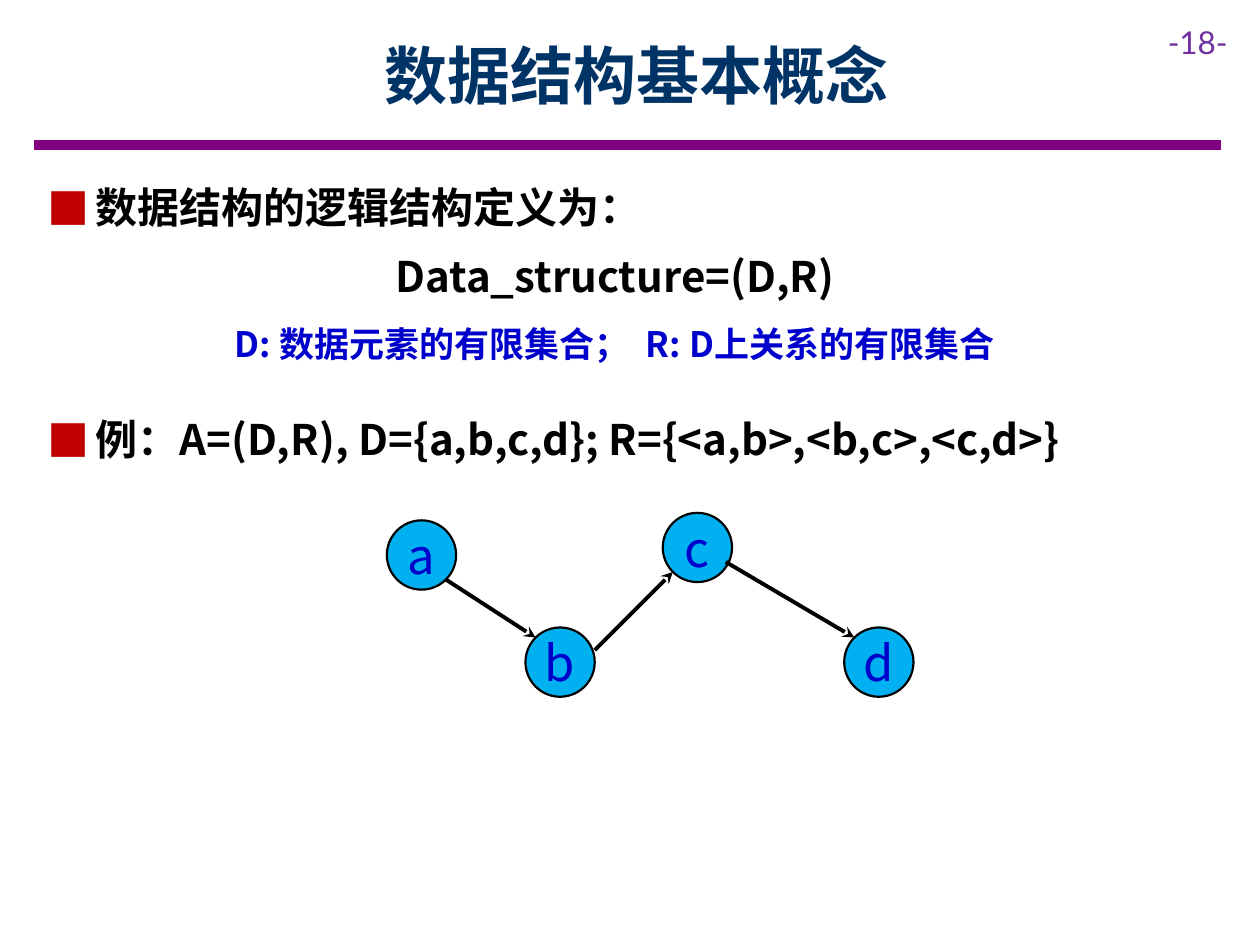
from lxml import etree
from pptx import Presentation
from pptx.dml.color import RGBColor
from pptx.enum.shapes import MSO_CONNECTOR, MSO_SHAPE
from pptx.enum.text import MSO_ANCHOR, PP_ALIGN
from pptx.oxml.ns import qn
from pptx.util import Inches, Pt

LINE, OVAL = MSO_CONNECTOR.STRAIGHT, MSO_SHAPE.OVAL
LEFT, CENTER = PP_ALIGN.LEFT, PP_ALIGN.CENTER
TOP, MIDDLE = MSO_ANCHOR.TOP, MSO_ANCHOR.MIDDLE

BLACK = RGBColor(0x00, 0x00, 0x00)
WHITE = RGBColor(0xFF, 0xFF, 0xFF)
NAVY = RGBColor(0x00, 0x33, 0x66)
BLUE = RGBColor(0x00, 0x00, 0xCC)
SKY = RGBColor(0x00, 0xB0, 0xF0)
PURPLE = RGBColor(0x80, 0x00, 0x80)
VIOLET = RGBColor(0x70, 0x30, 0xA0)
RED = "C00000"
SANS, LATO = "Noto Sans CJK SC", "Lato"

# Content
TITLE = "数据结构基本概念"
PAGE = "-18-"
POINTS = [
    ("数据结构的逻辑结构定义为：", (0.28, 1.39, 5.67, 0.5)),
    ("例：A=(D,R), D={a,b,c,d}; R={<a,b>,<b,c>,<c,d>}", (0.28, 3.23, 8.94, 0.5)),
]
FORMULA = [
    ("Data_structure=(D,R)", 24, BLACK),
    ("D: 数据元素的有限集合；  R: D上关系的有限集合", 20, BLUE),
]
NODES = {"a": (3.07, 4.13), "b": (4.17, 4.98), "c": (5.26, 4.07), "d": (6.7, 4.98)}
SIZE = 0.55
EDGES = [
    ((3.54, 4.6), (4.25, 5.06)),
    ((4.72, 5.16), (5.34, 4.54)),
    ((5.76, 4.46), (6.78, 5.06)),
]


def style(para, size, color, bold=False, align=LEFT, face=SANS):
    para.alignment = align
    font = para.font
    font.name, font.size, font.bold = face, Pt(size), bold
    font.color.rgb = color
    # Chinese characters take the East Asian face
    latin = para._p.pPr.find(qn("a:defRPr")).find(qn("a:latin"))
    east = etree.Element(qn("a:ea"), typeface=face)
    latin.addnext(east)


def bullet(para):
    props = para._p.get_or_add_pPr()
    hang = Inches(0.38)
    props.set("marL", str(hang))
    props.set("indent", str(-hang))
    color = etree.SubElement(props, qn("a:buClr"))
    etree.SubElement(color, qn("a:srgbClr"), val=RED)
    etree.SubElement(props, qn("a:buFont"), typeface=SANS)
    etree.SubElement(props, qn("a:buChar"), char="■")


def add_box(slide, place, fill=None):
    box = slide.shapes.add_textbox(*map(Inches, place))
    if fill is not None:
        box.fill.solid()
        box.fill.fore_color.rgb = fill
    box.text_frame.word_wrap = True
    box.text_frame.vertical_anchor = TOP
    return box.text_frame


def add_line(slide, start, end, color, width, arrow=False):
    line = slide.shapes.add_connector(LINE, *map(Inches, start + end))
    line.line.color.rgb = color
    line.line.width = Pt(width)
    if arrow:
        etree.SubElement(line.line._get_or_add_ln(), qn("a:tailEnd"), type="stealth")
    etree.SubElement(line._element.spPr, qn("a:effectLst"))


def add_node(slide, name, spot):
    node = slide.shapes.add_shape(OVAL, *map(Inches, spot + (SIZE, SIZE)))
    node.shadow.inherit = False
    node.fill.solid()
    node.fill.fore_color.rgb = SKY
    node.line.color.rgb = BLACK
    node.line.width = Pt(1.25)
    frame = node.text_frame
    frame.margin_left = frame.margin_right = Inches(0.1)
    frame.margin_top = frame.margin_bottom = Inches(0.1)
    frame.vertical_anchor = MIDDLE
    frame.word_wrap = False
    frame.text = name
    style(frame.paragraphs[0], 28, BLUE, align=CENTER)


def main():
    deck = Presentation()
    deck.slide_width, deck.slide_height = Inches(10), Inches(7.5)
    slide = deck.slides.add_slide(deck.slide_layouts[5])

    # Heading, rule and page number
    head = slide.shapes.title
    head.left, head.top, head.width, head.height = map(Inches, (0.9, 0.09, 8.31, 1))
    head.text_frame.text = TITLE
    head.text_frame.vertical_anchor = MIDDLE
    style(head.text_frame.paragraphs[0], 36, NAVY, True, CENTER)
    add_line(slide, (0.27, 1.15), (9.69, 1.15), PURPLE, 6)
    page = add_box(slide, (9.17, 0.13, 0.83, 0.4))
    page.text = PAGE
    style(page.paragraphs[0], 18, VIOLET, face=LATO)

    # Bulleted points
    for text, place in POINTS:
        frame = add_box(slide, place, WHITE)
        frame.text = text
        bullet(frame.paragraphs[0])
        style(frame.paragraphs[0], 24, BLACK, True)

    # Formula and its terms
    frame = add_box(slide, (0.35, 1.94, 9.06, 1.01), WHITE)
    frame.text = "\n".join(text for text, _, _ in FORMULA)
    for para, (_, size, color) in zip(frame.paragraphs, FORMULA):
        style(para, size, color, True, CENTER)
    frame.paragraphs[0].space_after = Pt(12)

    # Graph
    for name, spot in NODES.items():
        add_node(slide, name, spot)
    for start, end in EDGES:
        add_line(slide, start, end, BLACK, 2.25, arrow=True)

    deck.save("out.pptx")


if __name__ == "__main__":
    main()
